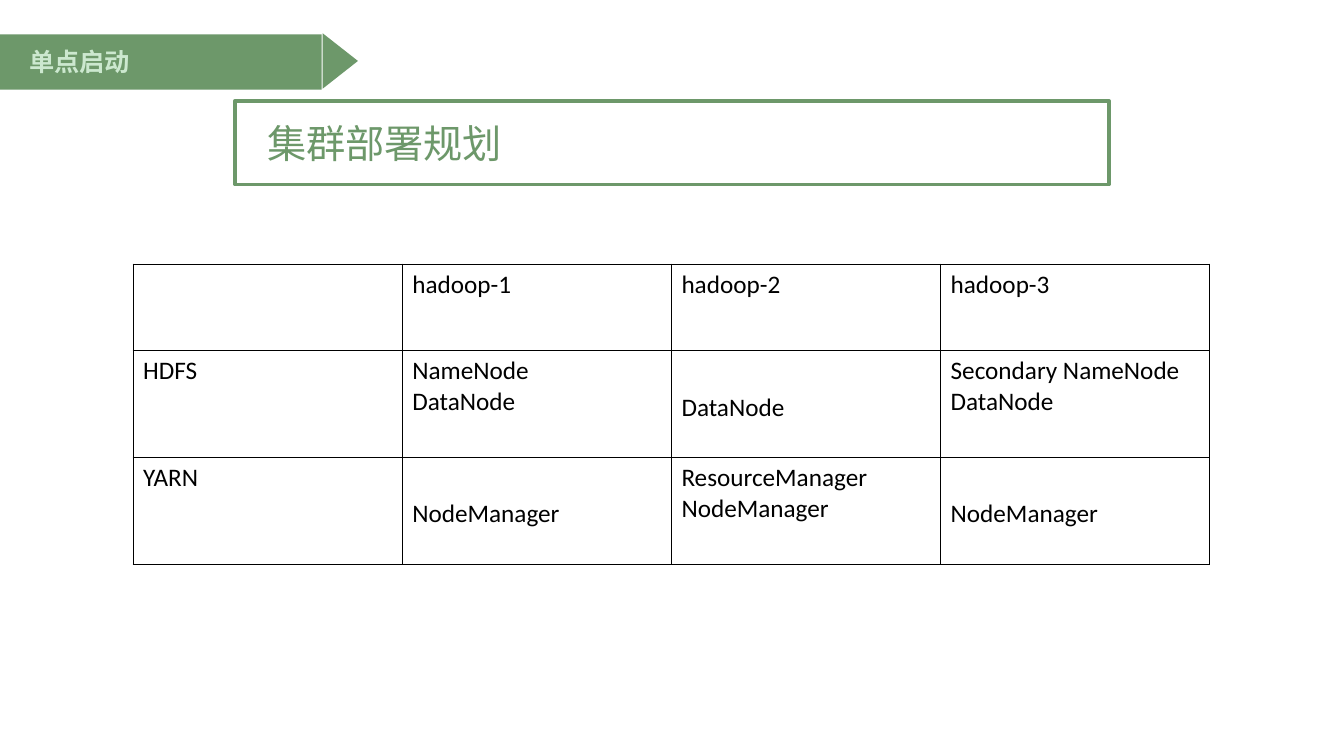
from typing import NamedTuple

from lxml import etree
from pptx import Presentation
from pptx.dml.color import RGBColor
from pptx.enum.shapes import MSO_SHAPE
from pptx.enum.text import MSO_ANCHOR
from pptx.oxml.ns import qn
from pptx.util import Inches, Pt

RECTANGLE = MSO_SHAPE.RECTANGLE
TRIANGLE = MSO_SHAPE.ISOSCELES_TRIANGLE
TOP = MSO_ANCHOR.TOP
MIDDLE = MSO_ANCHOR.MIDDLE

GREEN = "6D986A"
PALE_GREEN = "CCE8CF"
BLACK = "000000"
CHINESE_FONT = "Noto Sans CJK SC"
LATIN_FONT = "Calibri"

TABLE_LEFT, TABLE_TOP = 1.32, 2.62
COLUMN_WIDTH = 2.67
ROW_HEIGHTS = (0.86, 1.06, 1.06)
CELL_MARGIN = 0.05
LOWERED_MARGIN = 0.41  # places a lone service one line down


class Box(NamedTuple):
    left: float
    top: float
    width: float
    height: float

    def lengths(self):
        return [Inches(value) for value in self]


class BannerPart(NamedTuple):
    preset: MSO_SHAPE
    box: Box
    rotation: float = 0


class Label(NamedTuple):
    text: str
    box: Box
    size: float
    color: str
    bold: bool = False
    anchor: MSO_ANCHOR = TOP


class Service(NamedTuple):
    name: str
    processes: tuple[tuple[str, ...], ...]


BANNER = (
    BannerPart(RECTANGLE, Box(-0.01, 0.34, 3.2, 0.55)),
    BannerPart(TRIANGLE, Box(3.1, 0.43, 0.55, 0.35), 90),
)
TITLE_FRAME = Box(2.33, 1, 8.67, 0.83)
LABELS = (
    Label("单点启动", Box(0.24, 0.41, 2.71, 0.4), 18, PALE_GREEN, True, MIDDLE),
    Label("集群部署规划", Box(2.6, 1.13, 6.87, 1.04), 28, GREEN),
)
HOSTS = ("hadoop-1", "hadoop-2", "hadoop-3")
SERVICES = (
    Service("HDFS", (("NameNode", "DataNode"), ("DataNode",),
                     ("Secondary NameNode", "DataNode"))),
    Service("YARN", (("NodeManager",), ("ResourceManager", "NodeManager"),
                     ("NodeManager",))),
)


def rgb(color: str) -> RGBColor:
    return RGBColor.from_string(color)


def write_text(text_frame, *lines: str, size: float, font: str, color: str,
               bold: bool = False) -> None:
    for index, line in enumerate(lines):
        paragraph = text_frame.add_paragraph() if index else text_frame.paragraphs[0]
        run = paragraph.add_run()
        run.text = line
        run.font.size = Pt(size)
        run.font.bold = bold
        run.font.name = font
        run.font.color.rgb = rgb(color)
        properties = run._r.get_or_add_rPr()
        etree.SubElement(properties, qn("a:ea"), typeface=font)


def add_banner(slide) -> None:
    group = slide.shapes.add_group_shape()
    for part in BANNER:
        shape = group.shapes.add_shape(part.preset, *part.box.lengths())
        shape.shadow.inherit = False
        shape.rotation = part.rotation
        shape.fill.solid()
        shape.fill.fore_color.rgb = rgb(GREEN)
        shape.line.fill.background()


def add_title_frame(slide) -> None:
    shape = slide.shapes.add_shape(RECTANGLE, *TITLE_FRAME.lengths())
    shape.shadow.inherit = False
    shape.fill.background()
    shape.line.color.rgb = rgb(GREEN)
    shape.line.width = Pt(2.5)


def add_label(slide, label: Label) -> None:
    text_frame = slide.shapes.add_textbox(*label.box.lengths()).text_frame
    text_frame.word_wrap = True
    text_frame.vertical_anchor = label.anchor
    text_frame.margin_left = text_frame.margin_right = Inches(0.05)
    text_frame.margin_top = text_frame.margin_bottom = Inches(0.05)
    write_text(text_frame, label.text, size=label.size, font=CHINESE_FONT,
               color=label.color, bold=label.bold)


def add_borders(cell) -> None:
    properties = cell._tc.get_or_add_tcPr()
    for side in ("lnL", "lnR", "lnT", "lnB"):
        line = etree.SubElement(properties, qn(f"a:{side}"), w=str(Pt(1)))
        fill = etree.SubElement(line, qn("a:solidFill"))
        etree.SubElement(fill, qn("a:srgbClr"), val=BLACK)


def add_deployment_table(slide) -> None:
    rows = [((), *((host,) for host in HOSTS))]
    rows += [((service.name,), *service.processes) for service in SERVICES]
    column_count = len(rows[0])
    box = Box(TABLE_LEFT, TABLE_TOP, COLUMN_WIDTH * column_count, sum(ROW_HEIGHTS))
    table = slide.shapes.add_table(len(rows), column_count, *box.lengths()).table
    table.first_row = table.horz_banding = False
    for column in table.columns:
        column.width = Inches(COLUMN_WIDTH)
    for row_index, (row, height) in enumerate(zip(rows, ROW_HEIGHTS)):
        table.rows[row_index].height = Inches(height)
        for column_index, lines in enumerate(row):
            cell = table.cell(row_index, column_index)
            add_borders(cell)
            cell.fill.background()
            lowered = row_index > 0 and column_index > 0 and len(lines) == 1
            cell.margin_top = Inches(LOWERED_MARGIN if lowered else CELL_MARGIN)
            write_text(cell.text_frame, *lines, size=18, font=LATIN_FONT, color=BLACK)


def main() -> None:
    presentation = Presentation()
    presentation.slide_width = Inches(13.33)
    presentation.slide_height = Inches(7.5)
    slide = presentation.slides.add_slide(presentation.slide_layouts[6])
    add_banner(slide)
    add_title_frame(slide)
    for label in LABELS:
        add_label(slide, label)
    add_deployment_table(slide)
    presentation.save("out.pptx")


if __name__ == "__main__":
    main()
